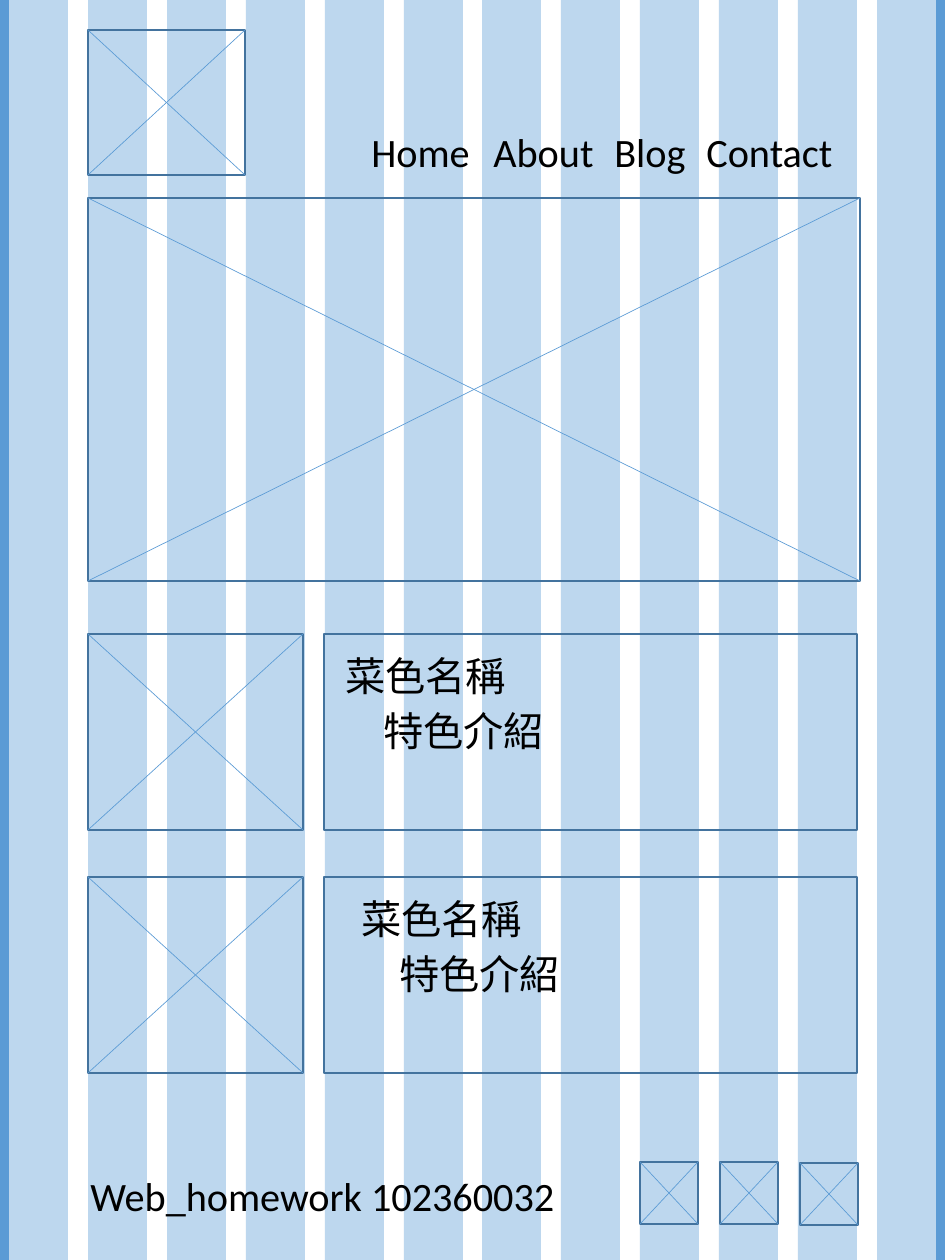
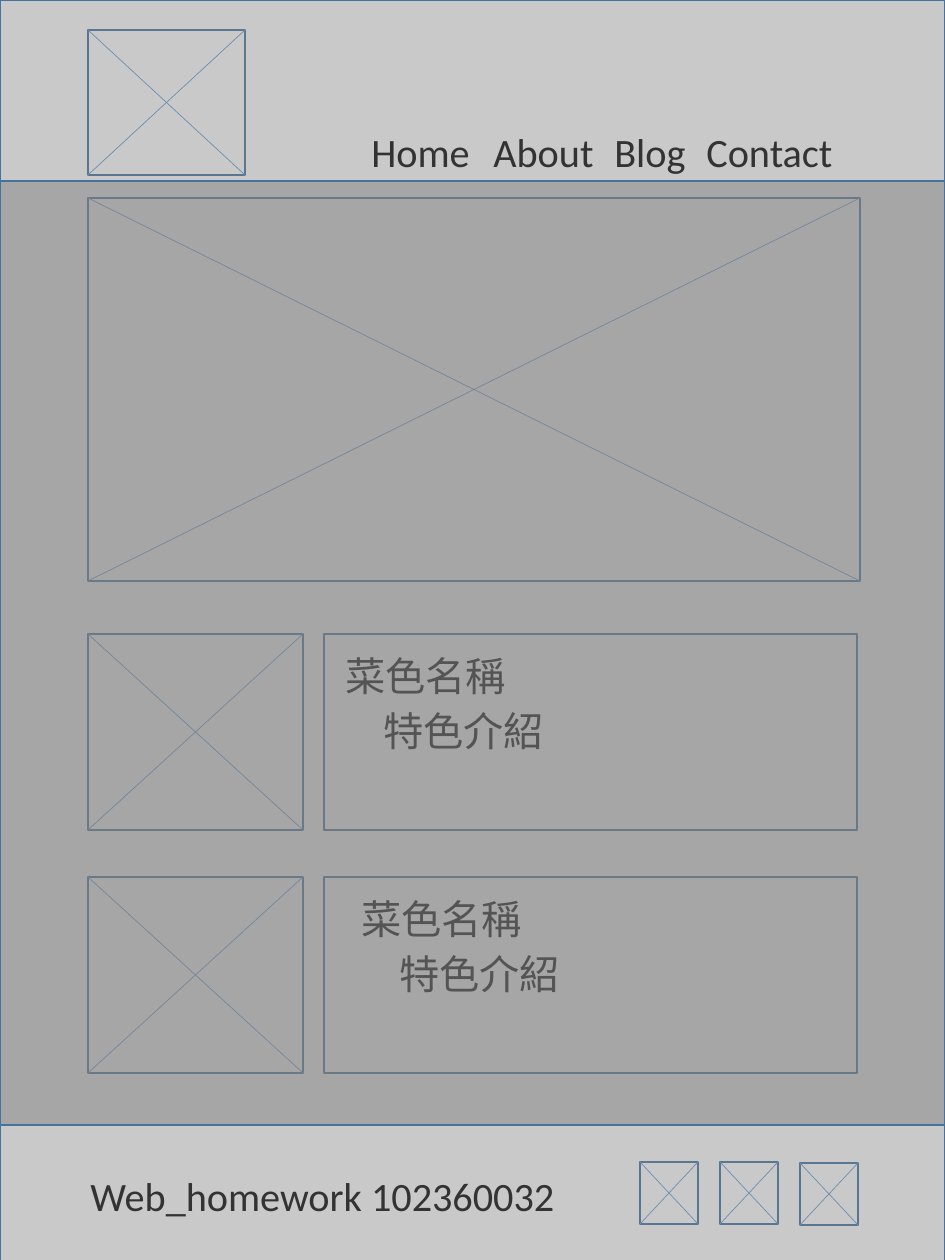
"""Builds two wireframe slides: a page on a column grid and its shaded zones."""
from lxml import etree
from pptx import Presentation
from pptx import util as u
from pptx.dml.color import RGBColor
from pptx.enum import shapes, text
from pptx.oxml.ns import qn

PX = 914400 // 95
WIDE, HIGH = 945, 1260
FONT, SIZE = "Calibri", 30.5
HUES = {"edge": "5B9BD5", "stripe": "BDD7EE", "frame": "43739E",
        "cross": "5B9BD5", "ink": "000000", "shade": "7C7C7C"}

COLS, FIRST, LAST, BAR = 12, 9, 877, 59
EDGES = [-1, 935]
LOGO = (88, 30, 157, 145)
HERO = (88, 198, 772, 383)
ICONS = [(640, 1162), (720, 1162), (800, 1163)]
ICON = (58, 62)
NAV = [("Home", 362, 121), ("About", 484, 121),
       ("Blog", 605, 91), ("Contact", 697, 146)]
NAV_TOP = 123
FOOT = ("Web_homework 102360032", 81, 1167, 488)
ROWS = [(634, 336), (877, 352)]
ROW_H = 196
THUMB, PANEL = (88, 215), (324, 533)
DISH = [("菜色名稱", 0, 13), ("特色介紹", 38, 68)]
DISH_W, TEXT_H = 225, 58
ZONES = [(0, 181, 41), (181, 944, 68), (1125, 199, 41)]


def rgb(name):
    return RGBColor.from_string(HUES[name])


def emu(*vals):
    return [u.Emu(v * PX) for v in vals]


def rect(home, area, fill=None, line=None, alpha=None):
    box = home.shapes.add_shape(shapes.MSO_SHAPE.RECTANGLE, *emu(*area))
    box.shadow.inherit = False
    if fill:
        box.fill.solid()
        box.fill.fore_color.rgb = rgb(fill)
    else:
        box.fill.background()
    if line:
        box.line.color.rgb = rgb(line)
        box.line.width = u.Pt(1)
    else:
        box.line.fill.background()
    if alpha:
        tint = box.fill._xPr.find(qn("a:solidFill"))[0]
        etree.SubElement(tint, qn("a:alpha"), val=str(alpha * 1000))


def cross(home, area):
    x, y, w, h = area
    rect(home, area, line="frame")
    for start, end in ((x, x + w), (x + w, x)):
        link = home.shapes.add_connector(
            shapes.MSO_CONNECTOR.STRAIGHT, *emu(start, y, end, y + h))
        link.line.color.rgb = rgb("cross")
        link.line.width = u.Pt(0.5)
        etree.SubElement(link._element.spPr, qn("a:effectLst"))


def label(slide, words, x, y, w, wrap=False):
    frame = slide.shapes.add_textbox(*emu(x, y, w, TEXT_H)).text_frame
    frame.word_wrap = wrap
    frame.auto_size = text.MSO_AUTO_SIZE.SHAPE_TO_FIT_TEXT
    para = frame.paragraphs[0]
    para.text = words
    para.font.name = FONT
    para.font.size = u.Pt(SIZE)
    para.font.color.rgb = rgb("ink")


def grid(slide):
    group = slide.shapes.add_group_shape()
    for x in EDGES:
        rect(group, (x, 0, 10, HIGH), "edge")
    for i in range(COLS):
        x = FIRST + round(i * (LAST - FIRST) / (COLS - 1))
        rect(group, (x, 0, BAR, HIGH), "stripe")


def page(slide):
    for area in [LOGO, HERO, *(spot + ICON for spot in ICONS)]:
        cross(slide.shapes.add_group_shape(), area)
    for top, _ in ROWS:
        group = slide.shapes.add_group_shape()
        cross(group, (THUMB[0], top, THUMB[1], ROW_H))
        rect(group, (PANEL[0], top, PANEL[1], ROW_H), line="frame")
    for words, x, w in NAV:
        label(slide, words, x, NAV_TOP, w)
    label(slide, *FOOT)
    for top, left in ROWS:
        for words, dx, dy in DISH:
            label(slide, words, left + dx, top + dy, DISH_W, wrap=True)


def zones(slide):
    for top, h, alpha in ZONES:
        rect(slide, (0, top, WIDE, h), "shade", "frame", alpha)


def main():
    deck = Presentation()
    deck.slide_width, deck.slide_height = emu(WIDE, HIGH)
    for steps in ((grid, page), (page, zones)):
        slide = deck.slides.add_slide(deck.slide_layouts[6])
        for step in steps:
            step(slide)
    deck.save("out.pptx")


if __name__ == "__main__":
    main()
